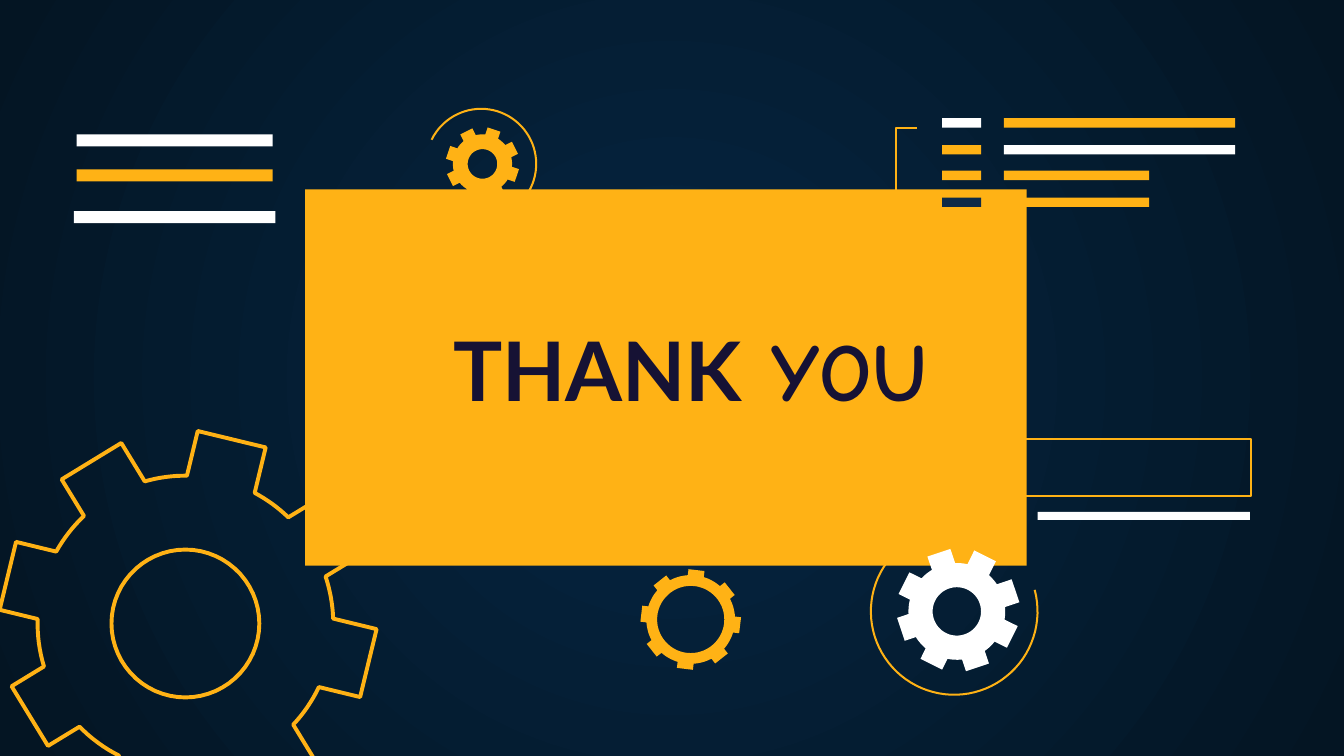
from math import asin, cos, degrees, radians, sin

from lxml import etree
from pptx import Presentation
from pptx.dml.color import RGBColor
from pptx.enum.shapes import MSO_SHAPE
from pptx.enum.text import MSO_ANCHOR, PP_ALIGN
from pptx.oxml.ns import qn
from pptx.util import Inches, Pt

RECTANGLE = MSO_SHAPE.RECTANGLE
TOP = MSO_ANCHOR.TOP
CENTER = PP_ALIGN.CENTER
YELLOW, WHITE, NAVY, INK = "FFB215", "FFFFFF", "0E2A47", "161234"
color = RGBColor.from_string


def arc_points(x, y, radius, start, end, steps=60):
    """Points on an arc; angles are in degrees, clockwise from the right."""
    angles = [radians(start + (end - start) * i / steps) for i in range(steps + 1)]
    return [(x + radius * cos(a), y + radius * sin(a)) for a in angles]


def add_span(para, text, font, size=44, bold=True, fill=INK):
    span = para.add_run()
    span.text = text
    span.font.name = font
    span.font.size = Pt(size)
    span.font.bold = bold
    span.font.color.rgb = color(fill)


# Widescreen page, 16 by 9
deck = Presentation()
deck.slide_width = Inches(10)
deck.slide_height = Inches(10 * 9 / 16)
page = deck.slides.add_slide(deck.slide_layouts[6])

# Radial background
background = page.background.fill
background.gradient()
for stop, shade in zip(background.gradient_stops, ("052643", "041523")):
    stop.color.rgb = color(shade)
gradient = next(page.element.iter(qn("a:gradFill")))
gradient.remove(gradient.find(qn("a:lin")))
radial = etree.SubElement(gradient, qn("a:path"), path="circle")
etree.SubElement(radial, qn("a:fillToRect"), l="50000", t="50000", r="50000", b="50000")

# Central panel and bars: left, top, width, height, fill
bars = [(2.27, 1.41, 5.37, 2.8, YELLOW)]
list_rows = [
    (0.88, WHITE, 1.72, YELLOW),
    (1.08, YELLOW, 1.72, WHITE),
    (1.27, YELLOW, 1.08, YELLOW),
    (1.47, NAVY, 1.08, YELLOW),
]
for top, marker_fill, width, bar_fill in list_rows:
    bars.append((7.01, top, 0.29, 0.07, marker_fill))
    bars.append((7.47, top, width, 0.07, bar_fill))
bars += [
    (0.57, 1, 1.46, 0.09, WHITE),
    (0.57, 1.26, 1.46, 0.09, YELLOW),
    (0.55, 1.57, 1.5, 0.09, WHITE),
    (7.72, 3.81, 1.58, 0.06, WHITE),
    (7.2, 3.27, 2.11, 0.42, None),
]
for left, top, width, height, fill in bars:
    bar = page.shapes.add_shape(
        RECTANGLE, Inches(left), Inches(top), Inches(width), Inches(height))
    bar.shadow.inherit = False
    if fill:
        bar.fill.solid()
        bar.fill.fore_color.rgb = color(fill)
        bar.line.fill.background()
    else:
        bar.fill.background()
        bar.line.color.rgb = color(YELLOW)
        bar.line.width = Pt(1.09)

# Open lines: contours, closed, fill, line width
outlines = [
    ([arc_points(3.58, 1.22, 0.41, -154, 102)], False, None, 1.09),
    ([arc_points(7.1, 4.55, 0.62, -15, 233)], False, None, 1.09),
    ([[(6.83, 1.56), (6.67, 1.56), (6.67, 0.95), (6.82, 0.95)]], False, None, 1.09),
]

# Eight-toothed gears: teeth centre, tip radius, half tooth width, first angle,
# body centre, body radius, hole radius, fill, line width
gears = [
    (1.4, 4.61, 1.38, 0.26, 13.6, 1.38, 4.64, 1.1, 0.55, None, 2.1),
    (7.13, 4.54, 0.45, 0.09, -18.6, 7.12, 4.55, 0.36, 0.18, WHITE, None),
    (3.59, 1.22, 0.27, 0.05, 18.6, 3.59, 1.22, 0.22, 0.11, YELLOW, None),
    (5.14, 4.61, 0.37, 0.06, 6.7, 5.14, 4.61, 0.33, 0.25, YELLOW, None),
]
for x, y, tip, half, first, body_x, body_y, body, hole, fill, weight in gears:
    rim = []
    for tooth in range(8):
        axis = radians(first + 45 * tooth)
        tips, base_angles = [], []
        for side in (-half, half):
            tip_x = x + tip * cos(axis) - side * sin(axis)
            tip_y = y + tip * sin(axis) + side * cos(axis)
            # Each flank runs parallel to the tooth axis down to the body
            across = (tip_y - body_y) * cos(axis) - (tip_x - body_x) * sin(axis)
            tips.append((tip_x, tip_y))
            base_angles.append(degrees(axis + asin(across / body)))
        if tooth:
            rim += arc_points(body_x, body_y, body, last_angle, base_angles[0], 8)
        else:
            first_base = base_angles[0]
        rim += tips
        last_angle = base_angles[1]
    rim += arc_points(body_x, body_y, body, last_angle, first_base + 360, 8)
    bore = arc_points(body_x, body_y, hole, 360, 0)
    outlines.append(([rim, bore], True, fill, weight))

for contours, closed, fill, weight in outlines:
    builder = None
    for contour in contours:
        points = [(Inches(px), Inches(py)) for px, py in contour]
        if builder is None:
            builder = page.shapes.build_freeform(*points[0], scale=1.0)
        else:
            builder.move_to(*points[0])
        builder.add_line_segments(points[1:], close=closed)
    outline = builder.convert_to_shape()
    outline.shadow.inherit = False
    if fill:
        outline.fill.solid()
        outline.fill.fore_color.rgb = color(fill)
        outline.line.fill.background()
    else:
        outline.fill.background()
        outline.line.color.rgb = color(YELLOW)
        outline.line.width = Pt(weight)

# Closing words
box = page.shapes.add_textbox(Inches(2.91), Inches(2.28), Inches(4.45), Inches(1.55))
frame = box.text_frame
frame.word_wrap = True
frame.vertical_anchor = TOP
frame.margin_left = frame.margin_right = Inches(0.1)
frame.margin_top = frame.margin_bottom = Inches(0.1)
para = frame.paragraphs[0]
para.alignment = CENTER
add_span(para, "THANK", "Lato")
add_span(para, " YOU", "Comic Neue")

deck.save("out.pptx")
